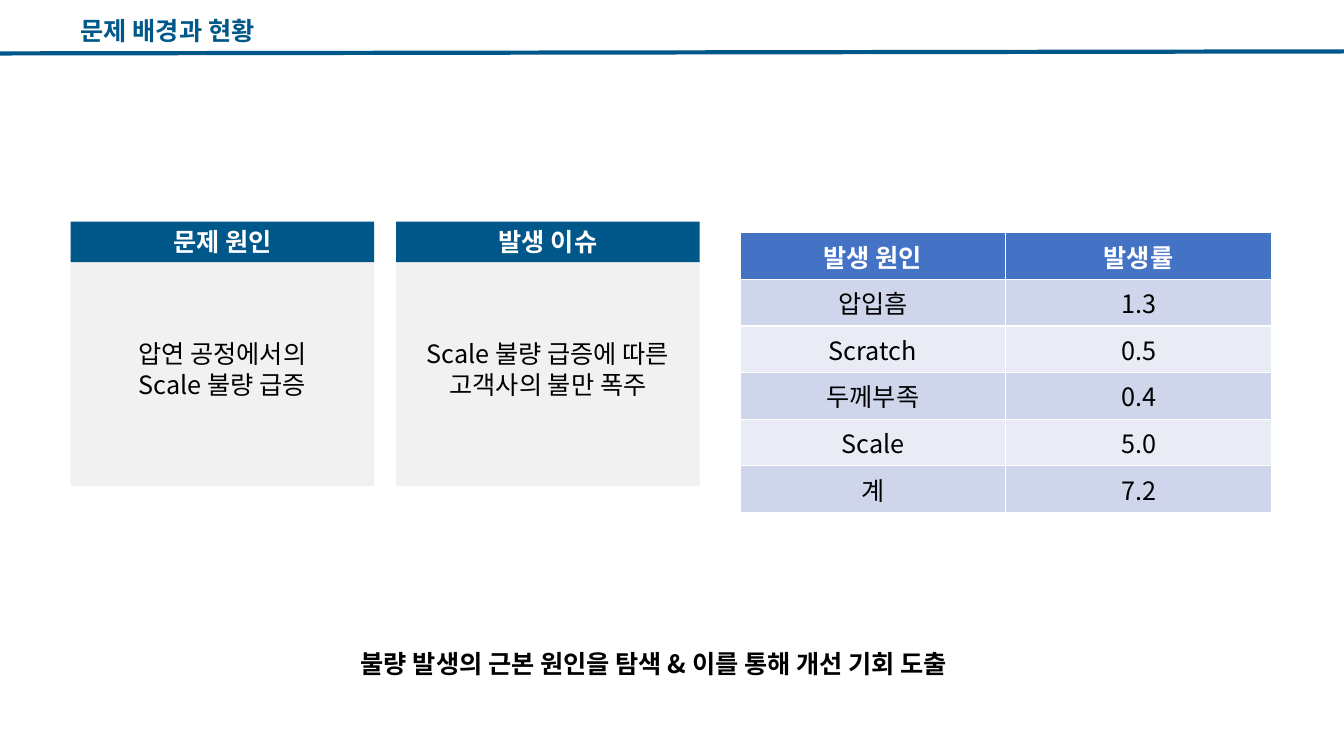
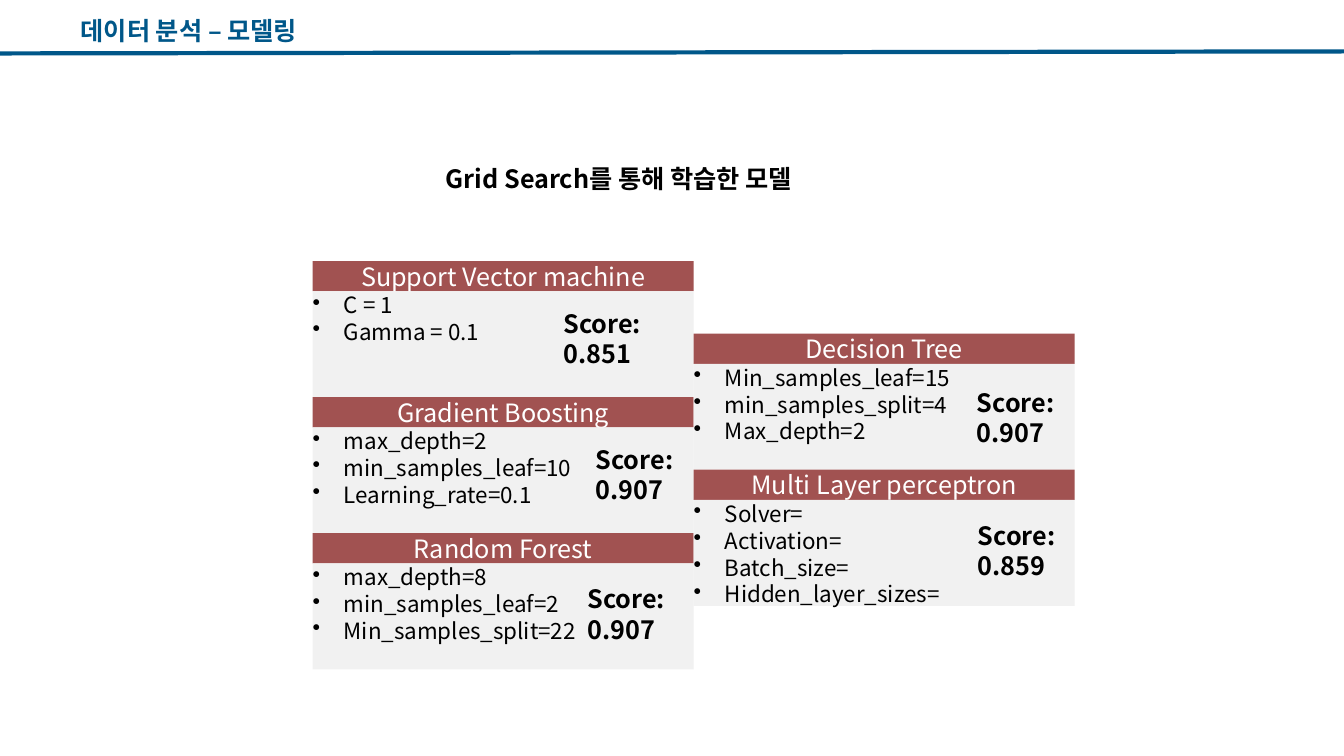
from dataclasses import dataclass
from lxml.etree import SubElement
from pptx import Presentation
from pptx.dml.color import RGBColor
from pptx.enum.shapes import MSO_CONNECTOR, MSO_SHAPE
from pptx.enum.text import MSO_ANCHOR, MSO_AUTO_SIZE, PP_ALIGN
from pptx.oxml.ns import qn
from pptx.util import Inches, Pt

# Content
CAUSE = "문제 배경과 현황"
MODEL = "데이터 분석 – 모델링"
CARDS = [
    ("문제 원인", ["압연 공정에서의", "Scale 불량 급증"]),
    ("발생 이슈", ["Scale 불량 급증에 따른", "고객사의 불만 폭주"]),
]
RATES = [
    ("발생 원인", "발생률"),
    ("압입흠", "1.3"),
    ("Scratch", "0.5"),
    ("두께부족", "0.4"),
    ("Scale", "5.0"),
    ("계", "7.2"),
]
GOAL = "불량 발생의 근본 원인을 탐색 & 이를 통해 개선 기회 도출"
SEARCH = "Grid Search를 통해 학습한 모델"
# Each column: top, then (name, settings, score, score offset in the panel)
MODELS = [
    (2.59, [
        ("Support Vector machine", ["C = 1", "Gamma = 0.1"],
         "0.851", (2.39, 0.42)),
        ("Gradient Boosting",
         ["max_depth=2", "min_samples_leaf=10", "Learning_rate=0.1"],
         "0.907", (2.71, 0.42)),
        ("Random Forest",
         ["max_depth=8", "min_samples_leaf=2", "Min_samples_split=22"],
         "0.907", (2.63, 0.45)),
    ]),
    (3.31, [
        ("Decision Tree",
         ["Min_samples_leaf=15", "min_samples_split=4", "Max_depth=2"],
         "0.907", (2.71, 0.48)),
        ("Multi Layer perceptron",
         ["Solver=", "Activation=", "Batch_size=", "Hidden_layer_sizes="],
         "0.859", (2.72, 0.45)),
    ]),
]


@dataclass(frozen=True)
class Theme:
    font: str = "Noto Sans CJK KR"
    blue: str = "005789"
    red: str = "A15251"
    gray: str = "F1F1F1"
    head: str = "4472C4"
    odd: str = "CFD5EA"
    even: str = "E9EBF5"
    black: str = "000000"
    white: str = "FFFFFF"
    text: int = 18
    small: int = 16
    rule: int = 3


T = Theme()
WIDE, HIGH = 13.33, 7.5
LEFT = 0.7

deck = Presentation()
deck.slide_width, deck.slide_height = Inches(WIDE), Inches(HIGH)


# Shared parts
def write(frame, lines, size=T.text, color=T.black, bold=False,
          align=PP_ALIGN.LEFT, anchor=MSO_ANCHOR.TOP, inset=None,
          wrap=True, bullet=False, space=None):
    frame.word_wrap = wrap
    frame.auto_size = MSO_AUTO_SIZE.NONE
    frame.vertical_anchor = anchor
    if inset is not None:
        (frame.margin_left, frame.margin_top,
         frame.margin_right, frame.margin_bottom) = map(Inches, inset)
    for i, line in enumerate(lines):
        para = frame.add_paragraph() if i else frame.paragraphs[0]
        para.alignment = align
        if space:
            para.line_spacing, para.space_before = space[0], Pt(space[1])
        if bullet:
            props = para._p.get_or_add_pPr()
            props.set("marL", str(Inches(0.31)))
            props.set("indent", str(-Inches(0.31)))
            SubElement(props, qn("a:buChar"), char="•")
        run = para.add_run()
        run.text = line
        font = run.font
        font.name, font.size, font.bold = T.font, Pt(size), bold
        font.color.rgb = RGBColor.from_string(color)
        SubElement(run._r.get_or_add_rPr(), qn("a:ea"), typeface=T.font)


def paint(shape, color):
    shape.fill.solid()
    shape.fill.fore_color.rgb = RGBColor.from_string(color)


def label(slide, box, lines, **form):
    shape = slide.shapes.add_textbox(*map(Inches, box))
    write(shape.text_frame, lines, **form)


def block(slide, box, fill, lines, **form):
    shape = slide.shapes.add_shape(MSO_SHAPE.RECTANGLE, *map(Inches, box))
    paint(shape, fill)
    shape.line.fill.background()
    shape.shadow.inherit = False
    write(shape.text_frame, lines, inset=(0, 0, 0, 0), **form)


def page(name, width):
    slide = deck.slides.add_slide(deck.slide_layouts[5])
    title = slide.shapes.title
    title.left, title.top, title.width, title.height = map(
        Inches, (LEFT, 0.1, width, 0.4))
    write(title.text_frame, [name], color=T.blue, bold=True, wrap=False)
    rule = slide.shapes.add_connector(
        MSO_CONNECTOR.STRAIGHT, *map(Inches, (-0.01, 0.53, WIDE, 0.51)))
    rule.line.color.rgb = RGBColor.from_string(T.blue)
    rule.line.width = Pt(T.rule)
    SubElement(rule._element.spPr, qn("a:effectLst"))
    return slide


# Slide 1: two cards, defect rates and the goal
slide = page(CAUSE, 2.15)
card, step = 3.01, 3.23
mid = {"align": PP_ALIGN.CENTER, "anchor": MSO_ANCHOR.MIDDLE}
for i, (name, lines) in enumerate(CARDS):
    x = LEFT + i * step
    block(slide, (x, 2.5, card, 2.32), T.gray, lines, **mid)
    block(slide, (x, 2.2, card, 0.4), T.blue, [name],
          color=T.white, bold=True, **mid)
label(slide, (3.48, 6.38, 8.95, 0.4), [GOAL], bold=True)

rows, cols, tall = len(RATES), len(RATES[0]), 0.4
table = slide.shapes.add_table(
    rows, cols, *map(Inches, (7.34, 2.31, 5.27, rows * tall))).table
for r, row in enumerate(RATES):
    fill = (T.odd if r % 2 else T.even) if r else T.head
    for c, value in enumerate(row):
        cell = table.cell(r, c)
        paint(cell, fill)
        write(cell.text_frame, [value], bold=r == 0,
              color=T.black if r else T.white, align=PP_ALIGN.CENTER)

# Slide 2: model panels in two columns
slide = page(MODEL, 2.62)
panel, bar, body = 3.78, 0.3, 1.05
for col, (top, models) in enumerate(MODELS):
    x = 3.1 + col * panel
    for row, (name, lines, score, (dx, dy)) in enumerate(models):
        y = top + row * (bar + body)
        block(slide, (x, y, panel, bar), T.red, [name],
              color=T.white, align=PP_ALIGN.CENTER)
        block(slide, (x, y + bar, panel, body), T.gray, lines,
              size=T.small, bullet=True)
        label(slide, (x + dx, y + dy, 1.58, 0.71), ["Score:", score],
              bold=True)
label(slide, (4.42, 1.55, 4.71, 0.4), [SEARCH], bold=True,
      inset=(0, 0.04, 0, 0), space=(1.09, 2.8))

deck.save("out.pptx")
